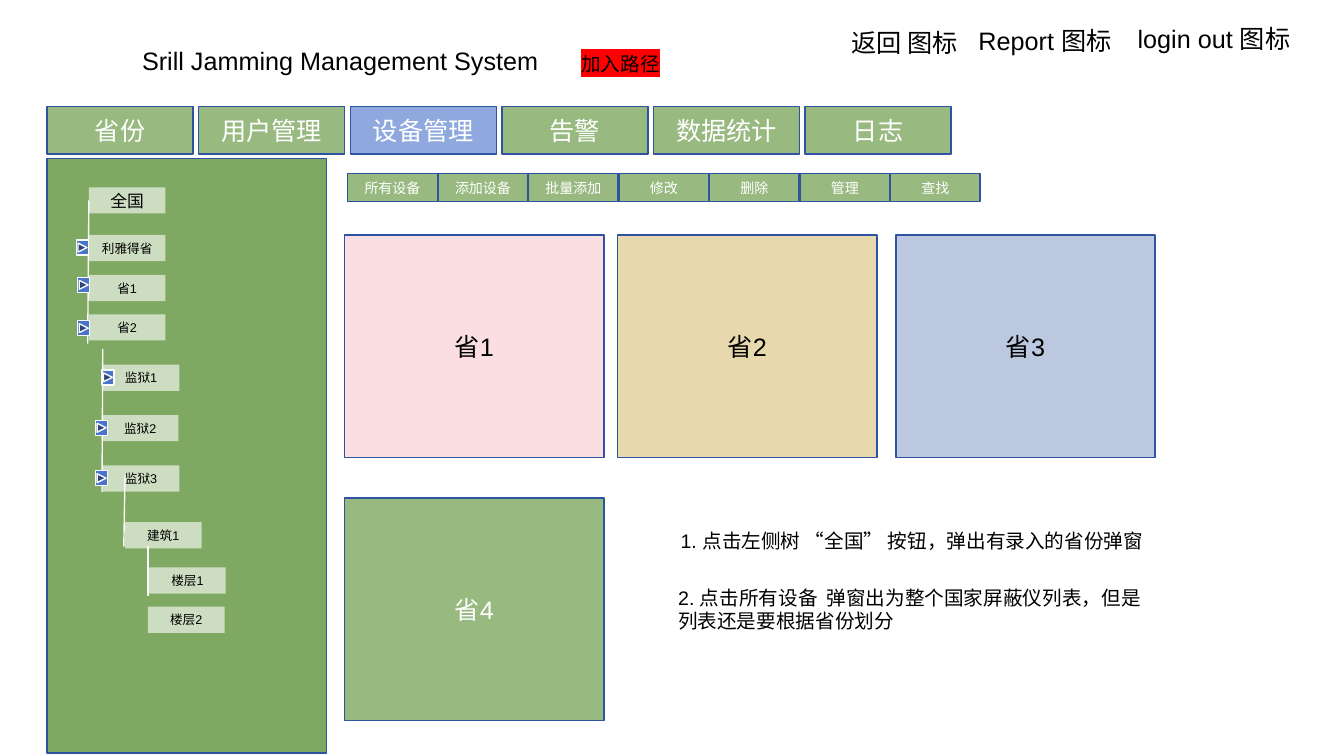
from lxml import etree
from pptx import Presentation
from pptx.dml.color import RGBColor
from pptx.enum.shapes import MSO_CONNECTOR, MSO_SHAPE
from pptx.enum.text import MSO_ANCHOR, PP_ALIGN
from pptx.oxml.ns import qn
from pptx.util import Cm, Pt

RECTANGLE = MSO_SHAPE.RECTANGLE
FORWARD_BUTTON = MSO_SHAPE.ACTION_BUTTON_FORWARD_OR_NEXT
STRAIGHT = MSO_CONNECTOR.STRAIGHT
MIDDLE = MSO_ANCHOR.MIDDLE
CENTER = PP_ALIGN.CENTER
LEFT = PP_ALIGN.LEFT
LEFT_SIDE = 1

BLACK = RGBColor(0x00, 0x00, 0x00)
WHITE = RGBColor(0xFF, 0xFF, 0xFF)
OFF_WHITE = RGBColor(0xFA, 0xFA, 0xFA)
GREEN = RGBColor(0x58, 0x8E, 0x31)
BLUE = RGBColor(0x48, 0x74, 0xCB)
NAVY = RGBColor(0x2E, 0x54, 0xA1)
PINK = RGBColor(0xE5, 0x4C, 0x5E)
GOLD = RGBColor(0xB5, 0x8B, 0x01)
RED = RGBColor(0xFF, 0x00, 0x00)

HEADINGS = [
    ("Srill Jamming Management System", 3.33, 1.02, 10.82),
    ("login out 图标", 28.42, 0.46, 4.65),
    ("Report 图标", 24.41, 0.51, 4.22),
    ("返回 图标", 21.21, 0.56, 3.81),
]
NAVIGATION = ["省份", "用户管理", "设备管理", "告警", "数据统计", "日志"]
ACTIVE_TAB = "设备管理"
ACTIONS = ["所有设备", "添加设备", "批量添加", "修改", "删除", "管理", "查找"]
CARDS = [
    ("省1", 8.69, 5.92, PINK, 18, BLACK),
    ("省2", 15.57, 5.92, GOLD, 32, BLACK),
    ("省3", 22.58, 5.92, NAVY, 32, BLACK),
    ("省4", 8.69, 12.55, GREEN, 61, WHITE),
]

# Each branch: guide line ends, labelled nodes, expand buttons
BRANCHES = [
    ((2.24, 5.05, 2.21, 8.66),
     [("利雅得省", 2.24, 5.92), ("省1", 2.24, 6.93), ("省2", 2.24, 7.92)],
     [(1.93, 6.05), (1.96, 6.99), (1.96, 8.08)]),
    ((2.59, 8.79, 2.57, 12.4),
     [("监狱1", 2.59, 9.19), ("监狱2", 2.57, 10.46), ("监狱3", 2.59, 11.73)],
     [(2.57, 9.32), (2.41, 10.59), (2.41, 11.86)]),
    ((3.15, 11.99, 3.12, 13.77), [("建筑1", 3.15, 13.16)], []),
    ((3.73, 13.77, 3.73, 15.01),
     [("楼层1", 3.76, 14.3), ("楼层2", 3.73, 15.29)], []),
]


def write(frame, text, size, color, align):
    frame.word_wrap = True
    para = frame.paragraphs[0]
    para.alignment = align
    span = para.add_run()
    span.text = text
    for name, value in {"name": "Arial", "size": Pt(size)}.items():
        setattr(span.font, name, value)
    span.font.color.rgb = color
    return span


def add_text(page, text, left, top, width, height, size=18, align=LEFT):
    box = page.shapes.add_textbox(Cm(left), Cm(top), Cm(width), Cm(height))
    return write(box.text_frame, text, size, BLACK, align)


def highlight(span, color):
    fill = span.font._element.find(qn("a:solidFill"))
    mark = etree.Element(qn("a:highlight"))
    etree.SubElement(mark, qn("a:srgbClr"), val=str(color))
    fill.addnext(mark)


def add_panel(shapes, bounds, color, opacity=100, line=NAVY, kind=RECTANGLE):
    """Add a filled shape; opacity is a percentage, line None means no outline."""
    box = shapes.add_shape(kind, *[Cm(length) for length in bounds])
    box.shadow.inherit = False
    box.fill.solid()
    box.fill.fore_color.rgb = color
    if opacity < 100:
        shade = box._element.spPr.find(f"{qn('a:solidFill')}/{qn('a:srgbClr')}")
        etree.SubElement(shade, qn("a:alpha"), val=str(opacity * 1000))
    if line is None:
        box.line.fill.background()
    else:
        box.line.color.rgb = line
        box.line.width = Pt(1)
    return box


def add_label(shapes, text, bounds, color, opacity, size, ink, line=NAVY):
    box = add_panel(shapes, bounds, color, opacity, line)
    box.text_frame.vertical_anchor = MIDDLE
    write(box.text_frame, text, size, ink, CENTER)
    return box


def add_button_row(page, labels, left, top, width, height, pitch, size):
    row = page.shapes.add_group_shape().shapes
    for index, text in enumerate(labels):
        color = BLUE if text == ACTIVE_TAB else GREEN
        bounds = (left + index * pitch, top, width, height)
        add_label(row, text, bounds, color, 61, size, WHITE)


def add_guide(page, ends):
    guide = page.shapes.add_connector(STRAIGHT, *[Cm(length) for length in ends])
    guide.line.color.rgb = OFF_WHITE
    guide.line.width = Pt(1)
    etree.SubElement(guide._element.spPr, qn("a:effectLst"))
    return guide


def add_node(page, text, left, top, size=9):
    bounds = (left, top, 1.93, 0.66)
    return add_label(page.shapes, text, bounds, WHITE, 61, size, BLACK, None)


def add_tree(page):
    add_panel(page.shapes, (1.19, 3.99, 7.04, 14.99), GREEN, 76)
    root = add_node(page, "全国", 2.24, 4.72, 12)
    for index, (ends, nodes, buttons) in enumerate(BRANCHES):
        guide = add_guide(page, ends)
        if index == 0:
            guide.begin_connect(root, LEFT_SIDE)
        for node in nodes:
            add_node(page, *node)
        for left, top in buttons:
            add_panel(page.shapes, (left, top, 0.3, 0.38), BLUE,
                      line=OFF_WHITE, kind=FORWARD_BUTTON)


def add_cards(page):
    cards = page.shapes.add_group_shape().shapes
    for text, left, top, color, opacity, ink in CARDS:
        add_label(cards, text, (left, top, 6.53, 5.61), color, opacity, 18, ink)


def main():
    deck = Presentation()
    deck.slide_width, deck.slide_height = Cm(33.87), Cm(19.05)
    page = deck.slides.add_slide(deck.slide_layouts[6])

    for text, left, top, width in HEADINGS:
        add_text(page, text, left, top, width, 1.02)
    add_button_row(page, NAVIGATION, 1.19, 2.69, 3.68, 1.19, 3.82, 18)
    highlight(add_text(page, "加入路径", 14.4, 1.19, 7.82, 0.86, 14), RED)

    add_tree(page)
    add_cards(page)
    add_text(page, "1. 点击左侧树 “全国” 按钮，弹出有录入的省份弹窗",
             16.84, 13.21, 12.29, 0.86, 14, CENTER)
    add_text(page, "2. 点击所有设备  弹窗出为整个国家屏蔽仪列表，但是列表还是要根据省份划分",
             16.84, 14.63, 12.29, 1.45, 14)
    add_button_row(page, ACTIONS, 8.76, 4.37, 2.26, 0.71, 2.28, 10)
    deck.save("out.pptx")


if __name__ == "__main__":
    main()
